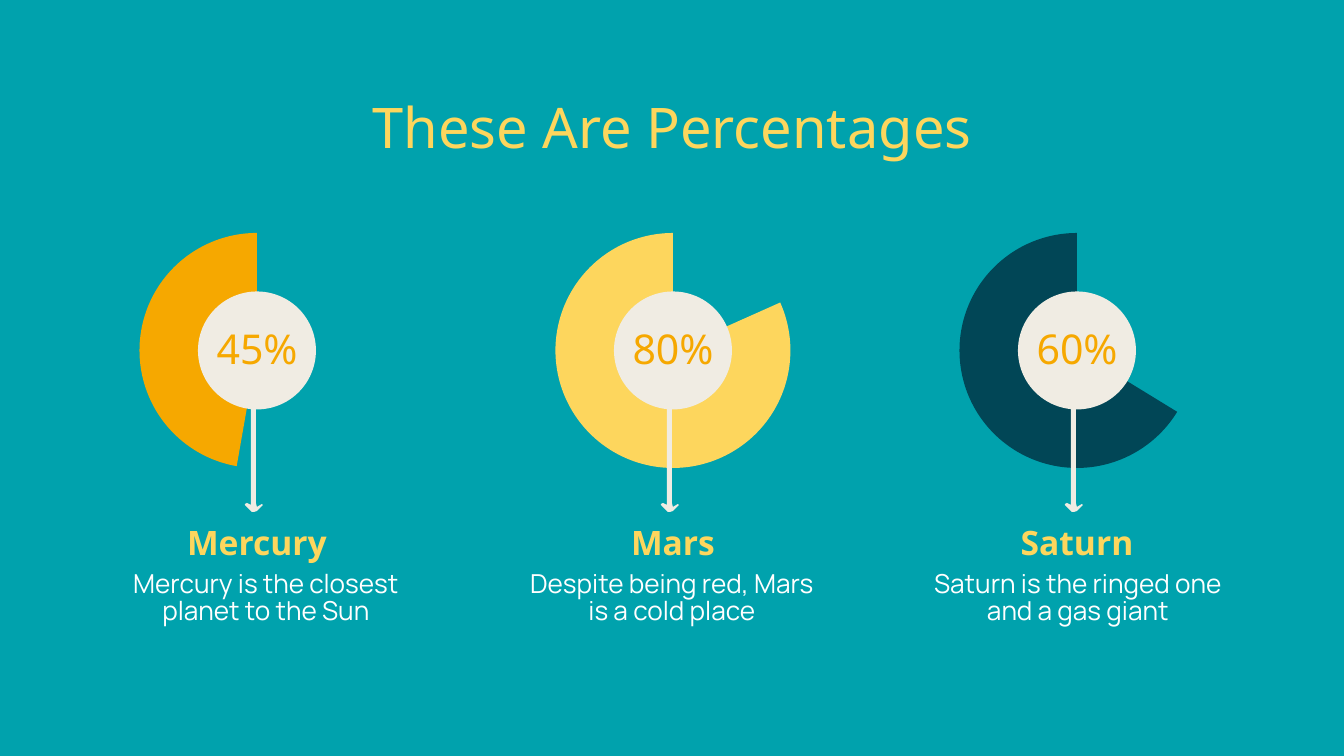
from pptx import Presentation
from pptx import util as u
from pptx.dml.color import RGBColor
from pptx.enum import shapes, text

PX = 914400 / 134.4
TEAL, CREAM, YELLOW = "00A2AD", "F0ECE3", "FDD65D"
ORANGE, NAVY, WHITE = "F6A800", "014656", "FFFFFF"
RING, HOLE, TOP = 235, 118, 233
ARROW = [(-12, 505), (-8, 509), (-5, 512), (-3, 512), (0, 511), (6, 505),
         (5, 504), (0, 507), (-1, 503), (-1, 387), (-2, 379), (-5, 379),
         (-6, 387), (-6, 505), (-10, 503), (-12, 504)]
PLANETS = [
    ("Mercury", "Mercury is the closest planet to the Sun", "45%", ORANGE, 257, 59.96),
    ("Mars", "Despite being red, Mars is a cold place", "80%", YELLOW, 673, 201.55),
    ("Saturn", "Saturn is the ringed one and a gas giant", "60%", NAVY, 1077, 18.89),
]


def px(n):
    """Turn pixels into EMU."""
    return u.Emu(round(n * PX))


def rgb(code):
    """Return a colour from a hex string."""
    return RGBColor.from_string(code)


def paint(shape, code):
    """Give a shape a flat fill with no line or shadow."""
    shape.fill.solid()
    shape.fill.fore_color.rgb = rgb(code)
    shape.line.fill.background()
    shape.shadow.inherit = False


def disc(slide, kind, mid, size, code):
    """Add a round shape centred on a ring."""
    top = TOP + (RING - size) / 2
    shape = slide.shapes.add_shape(kind, px(mid - size / 2), px(top), px(size), px(size))
    paint(shape, code)
    return shape


def arrow(slide, mid):
    """Add the hand-drawn arrow below a ring."""
    first, *rest = [(mid + x, y) for x, y in ARROW]
    build = slide.shapes.build_freeform(*first, scale=PX)
    build.add_line_segments(rest, close=True)
    paint(build.convert_to_shape(), CREAM)


def write(box, words, code, anchor=text.MSO_ANCHOR.MIDDLE, space=1.0, **style):
    """Fill a box with one centred paragraph."""
    frame = box.text_frame
    frame.text = words
    form = {"word_wrap": True, "auto_size": text.MSO_AUTO_SIZE.NONE,
            "vertical_anchor": anchor}
    for side in ("left", "top", "right", "bottom"):
        form["margin_" + side] = u.Inches(0.1)
    for key, value in form.items():
        setattr(frame, key, value)
    para = frame.paragraphs[0]
    para.alignment = text.PP_ALIGN.CENTER
    para.line_spacing = space
    font = para.runs[0].font
    for key, value in style.items():
        setattr(font, key, value)
    font.color.rgb = rgb(code)


def label(slide, mid, top, wide, high, words, code, **style):
    """Add a text box centred on a column."""
    box = slide.shapes.add_textbox(px(mid - wide / 2), px(top), px(wide), px(high))
    write(box, words, code, **style)


def head(slide, words):
    """Place and format the slide title."""
    title = slide.shapes.title
    spot = {"left": 254, "top": 79, "width": 836, "height": 88}
    for key, value in spot.items():
        setattr(title, key, px(value))
    write(title, words, YELLOW, text.MSO_ANCHOR.TOP, name="Noto Sans", size=u.Pt(30))


def planet(slide, col, name, note, share, code, mid, start):
    """Add one ring with its share, arrow, name and note."""
    pie = disc(slide, shapes.MSO_SHAPE.PIE, mid, RING, code)
    pie.adjustments[0], pie.adjustments[1] = start, 162
    disc(slide, shapes.MSO_SHAPE.OVAL, mid, HOLE, CREAM)
    label(slide, mid, 321, 188, 55, share, ORANGE, name="Noto Sans", size=u.Pt(22))
    arrow(slide, mid)
    label(slide, mid, 520, RING, 44, name, YELLOW,
          name="Noto Sans", size=u.Pt(18), bold=True)
    label(slide, 266 + 406 * col, 558, 320, 90, note, WHITE,
          anchor=text.MSO_ANCHOR.TOP, space=0.87, name="Manrope", size=u.Pt(14))


def main():
    """Build the slide and save it."""
    deck = Presentation()
    deck.slide_width, deck.slide_height = px(1344), px(756)
    slide = deck.slides.add_slide(deck.slide_layouts[5])
    slide.background.fill.solid()
    slide.background.fill.fore_color.rgb = rgb(TEAL)
    head(slide, "These Are Percentages")
    for col, row in enumerate(PLANETS):
        planet(slide, col, *row)
    deck.save("out.pptx")


if __name__ == "__main__":
    main()
